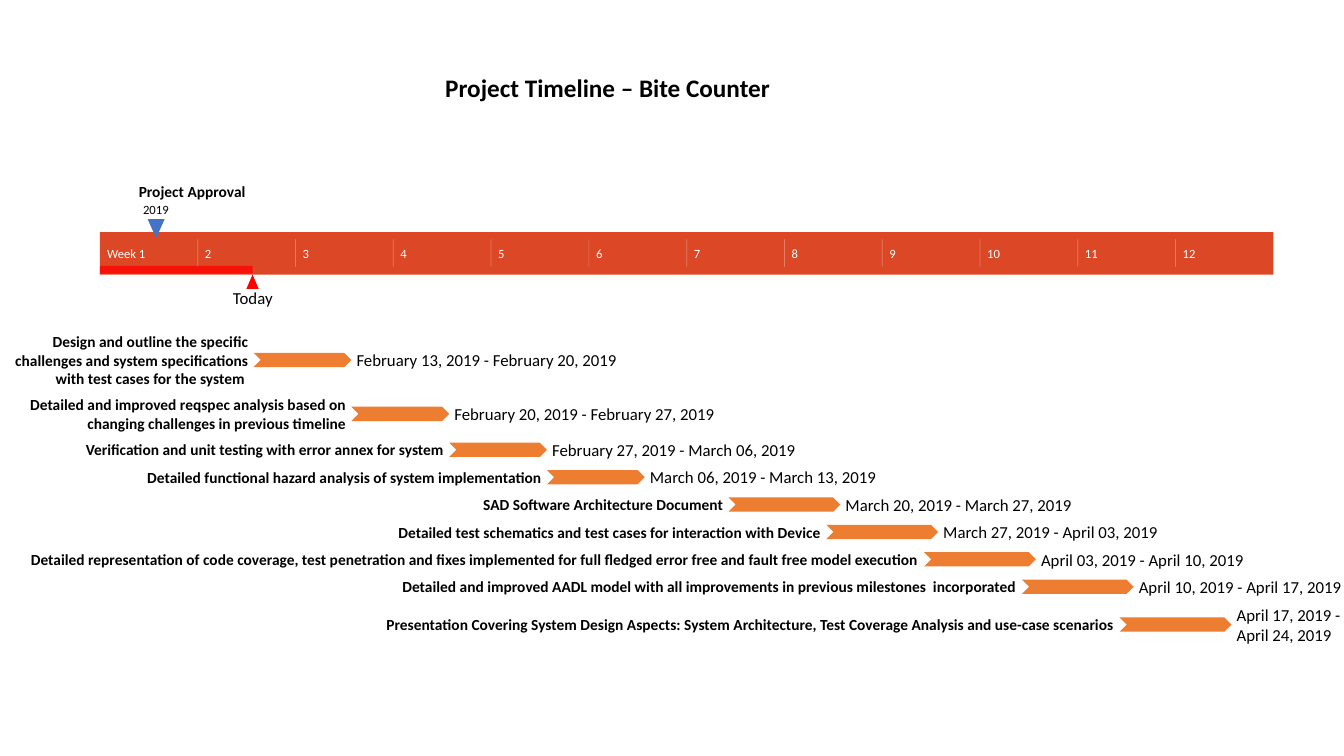
import dataclasses
import lxml.etree
import pptx
import pptx.dml.color
import pptx.enum.shapes
import pptx.enum.text
import pptx.oxml.ns
import pptx.util

Cm = pptx.util.Cm
Kind = pptx.enum.shapes.MSO_SHAPE
Align = pptx.enum.text.PP_ALIGN
Anchor = pptx.enum.text.MSO_ANCHOR


@dataclasses.dataclass(frozen=True)
class Theme:
    font: str = "Calibri"
    ink: str = "000000"
    white: str = "FFFFFF"
    band: str = "DC4726"
    red: str = "FF0000"
    blue: str = "4472C4"
    task: str = "ED7D31"
    head: int = 18
    date: int = 12
    label: int = 11
    small: int = 9


@dataclasses.dataclass(frozen=True)
class Box:
    left: float
    top: float
    width: float
    height: float

    def cm(self):
        return Cm(self.left), Cm(self.top), Cm(self.width), Cm(self.height)


@dataclasses.dataclass(frozen=True)
class Task:
    label: str
    date: str
    day: int
    days: int
    wide: float
    span: float
    high: float = 0.51


THEME = Theme()
WEEKS = 12
TASKS = [
    Task("Design and outline the specific challenges and system specifications "
         "with test cases for the system ",
         "February 13, 2019 - February 20, 2019", 11, 7, 5.97, 6.9, 1.42),
    Task("Detailed and improved reqspec analysis based on changing challenges "
         "in previous timeline",
         "February 20, 2019 - February 27, 2019", 18, 7, 8.05, 6.9, 0.94),
    Task("Verification and unit testing with error annex for system",
         "February 27, 2019 - March 06, 2019", 25, 7, 9.5, 6.5),
    Task("Detailed functional hazard analysis of system implementation",
         "March 06, 2019 - March 13, 2019", 32, 7, 10.4, 6),
    Task("SAD Software Architecture Document",
         "March 20, 2019 - March 27, 2019", 45, 8, 6.5, 6),
    Task("Detailed test schematics and test cases for interaction with Device",
         "March 27, 2019 - April 03, 2019", 52, 8, 11.2, 5.7),
    Task("Detailed representation of code coverage, test penetration and fixes "
         "implemented for full fledged error free and fault free model execution",
         "April 03, 2019 - April 10, 2019", 59, 8, 22.9, 5.4),
    Task("Detailed and improved AADL model with all improvements in previous "
         "milestones  incorporated",
         "April 10, 2019 - April 17, 2019", 66, 8, 16, 5.16),
    Task("Presentation Covering System Design Aspects: System Architecture, "
         "Test Coverage Analysis and use-case scenarios",
         "April 17, 2019 - April 24, 2019", 73, 8, 18.9, 2.7, 1.04),
]


def fade(fill, alpha):
    tint = fill.find(".//" + pptx.oxml.ns.qn("a:srgbClr"))
    lxml.etree.SubElement(tint, pptx.oxml.ns.qn("a:alpha"), val=str(alpha * 1000))


def shape(slide, kind, box, color):
    item = slide.shapes.add_shape(kind, *box.cm())
    item.shadow.inherit = False
    item.fill.solid()
    item.fill.fore_color.rgb = pptx.dml.color.RGBColor.from_string(color)
    item.line.fill.background()
    return item


def write(frame, words, size, color=THEME.ink, bold=False, align=Align.LEFT, wrap=False):
    frame.word_wrap = wrap
    frame.vertical_anchor = Anchor.MIDDLE
    para = frame.paragraphs[0]
    para.alignment = align
    run = para.add_run()
    run.text = words
    run.font.name = THEME.font
    run.font.size = pptx.util.Pt(size)
    run.font.bold = bold
    run.font.color.rgb = pptx.dml.color.RGBColor.from_string(color)


def text(slide, box, words, size, **style):
    frame = slide.shapes.add_textbox(*box.cm()).text_frame
    frame.margin_left = frame.margin_right = 0
    frame.margin_top = frame.margin_bottom = 0
    write(frame, words, size, **style)


def split(slide, x, top, end):
    line = slide.shapes.add_connector(
        pptx.enum.shapes.MSO_CONNECTOR.STRAIGHT, Cm(x), Cm(top), Cm(x), Cm(end))
    line.line.width = pptx.util.Pt(0.5)
    line.line.color.rgb = pptx.dml.color.RGBColor.from_string(THEME.white)
    props = line._element.spPr
    fade(props, 30)
    lxml.etree.SubElement(props, pptx.oxml.ns.qn("a:effectLst"))


def title(slide, box):
    head = slide.shapes.title
    head.left, head.top, head.width, head.height = box.cm()
    write(head.text_frame, "Project Timeline – Bite Counter", THEME.head,
          bold=True, align=Align.CENTER)


def scale(slide, box):
    shape(slide, Kind.RECTANGLE, box, THEME.band)
    step = box.width / WEEKS
    for week in range(WEEKS):
        x = box.left + week * step
        if week:
            split(slide, x, box.top + 0.18, box.top + 0.87)
        words = str(week + 1) if week else "Week 1"
        text(slide, Box(x + 0.18, box.top + 0.34, 1, 0.38), words,
             THEME.small, color=THEME.white)


def today(slide, box):
    done = 3.85
    base = box.top + box.height
    bar = shape(slide, Kind.RECTANGLE, Box(box.left, base - 0.22, done, 0.2), THEME.red)
    fade(bar._element.spPr, 75)
    x = box.left + done
    shape(slide, Kind.ISOSCELES_TRIANGLE, Box(x - 0.16, base, 0.31, 0.36), THEME.red)
    text(slide, Box(x - 0.5, base + 0.34, 1, 0.51), "Today", THEME.date,
         align=Align.CENTER)


def start(slide, box):
    x = box.left + 1.41
    text(slide, Box(x - 0.75, box.top - 1.77, 3.33, 1.5), "Project Approval",
         THEME.label, bold=True, align=Align.CENTER)
    text(slide, Box(x - 0.5, box.top - 0.77, 1, 0.38), "2019", THEME.small,
         align=Align.CENTER)
    mark = shape(slide, Kind.ISOSCELES_TRIANGLE,
                 Box(x - 0.21, box.top - 0.33, 0.43, 0.48), THEME.blue)
    mark.rotation = 180


def plan(slide, box):
    day = box.width / WEEKS / 7
    gap = 0.13
    top = box.top
    for task in TASKS:
        left = box.left + task.day * day
        long = task.days * day
        mid = top + task.high / 2
        shape(slide, Kind.CHEVRON, Box(left, mid - 0.18, long, 0.36), THEME.task)
        text(slide, Box(left - gap - task.wide, top, task.wide, task.high),
             task.label, THEME.label, bold=True, align=Align.RIGHT, wrap=True)
        text(slide, Box(left + long + gap, top, task.span, task.high),
             task.date, THEME.date, wrap=True)
        top += task.high + 0.18


def main():
    deck = pptx.Presentation()
    deck.slide_width, deck.slide_height = Cm(33.87), Cm(19.05)
    slide = deck.slides.add_slide(deck.slide_layouts[5])
    band = Box(2.52, 5.85, 29.57, 1.07)
    scale(slide, band)
    today(slide, band)
    start(slide, band)
    plan(slide, Box(band.left, 8.36, band.width, 8))
    title(slide, Box(10.87, 1.7, 8.89, 1.02))
    deck.save("out.pptx")


if __name__ == "__main__":
    main()
